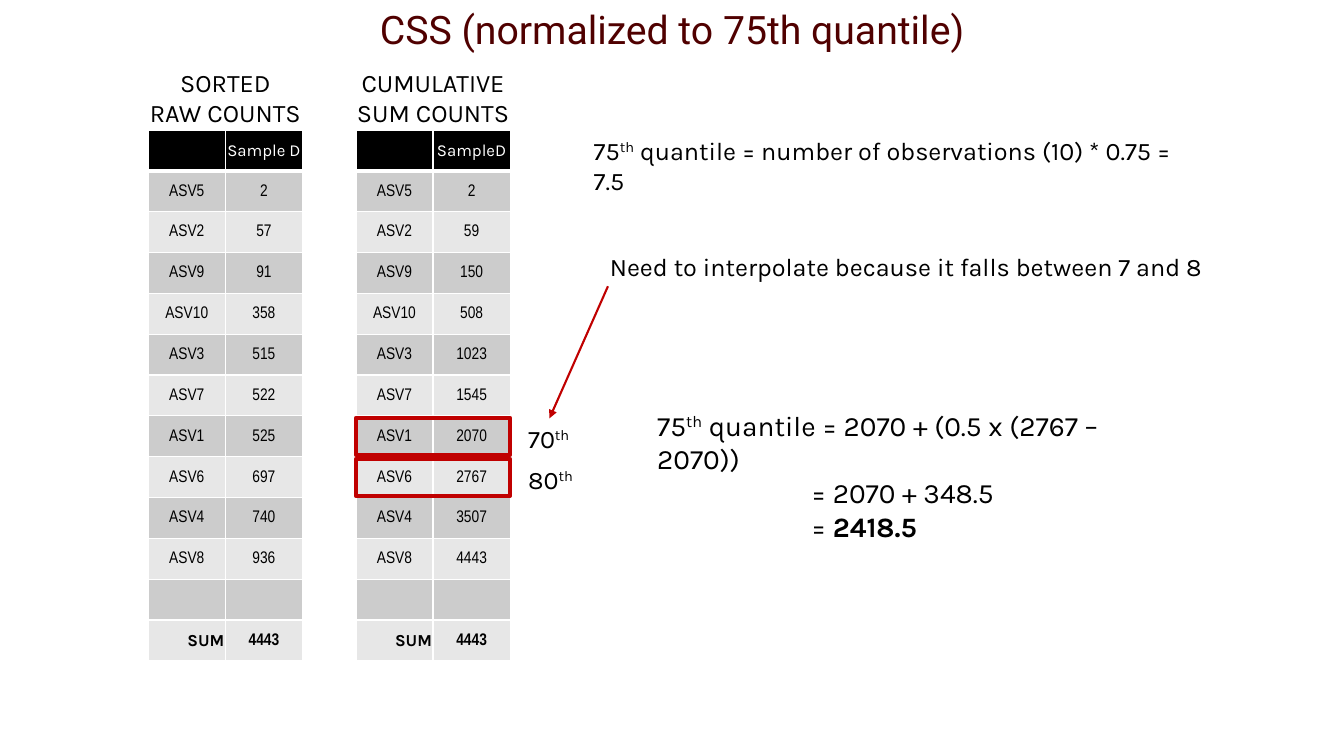
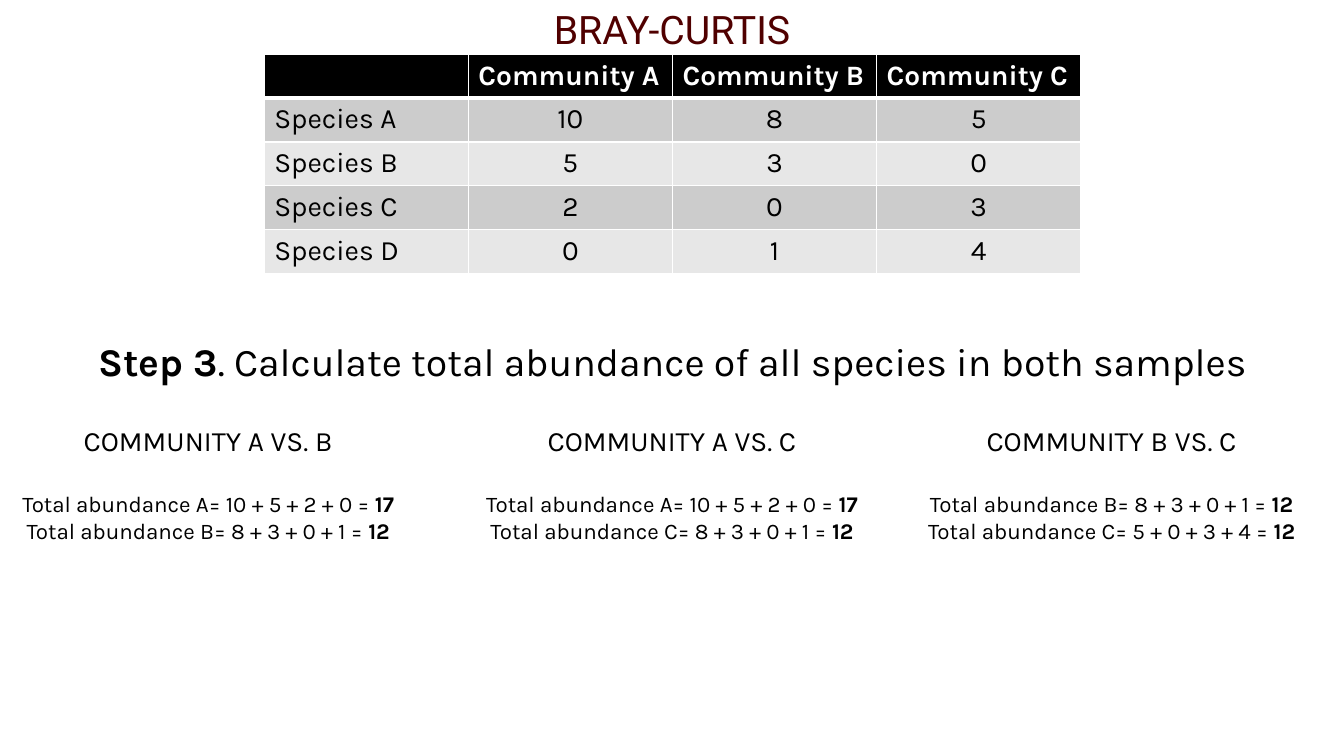
from lxml import etree
from pptx import Presentation, util as u
from pptx.dml.color import RGBColor
from pptx.enum import shapes, text
from pptx.oxml.ns import qn

# Shared look
COLORS = {"title": "500000", "ink": "000000", "paper": "FFFFFF",
          "odd": "CCCCCC", "even": "E7E7E7", "accent": "C00000"}
TITLE_FONT, BODY_FONT, COUNT_FONT = "Roboto", "Karla", "Arial Narrow"
SLIDE_W, SLIDE_H = 13.33, 7.5
LEFT, CENTER, RIGHT = text.PP_ALIGN.LEFT, text.PP_ALIGN.CENTER, text.PP_ALIGN.RIGHT

# Content: a paragraph is a list of runs, each (words, style)
ASVS = ["ASV5", "ASV2", "ASV9", "ASV10", "ASV3", "ASV7", "ASV1", "ASV6", "ASV4", "ASV8"]
COUNT_TABLES = [
    {"left": 1.47, "label": ["SORTED", "RAW COUNTS"], "sample": "Sample D",
     "counts": [2, 57, 91, 358, 515, 522, 525, 697, 740, 936]},
    {"left": 3.53, "label": ["CUMULATIVE", "SUM COUNTS"], "sample": "SampleD",
     "counts": [2, 59, 150, 508, 1023, 1545, 2070, 2767, 3507, 4443]},
]
TOTAL = 4443
QUANTILE_ROWS = {"ASV1": "70", "ASV6": "80"}
QUANTILE = [("75", ""), ("th", "sup")]
OBSERVATIONS = QUANTILE + [(" quantile = number of observations (10) * 0.75 = 7.5", "")]
INTERPOLATE = [("Need to interpolate because it falls between 7 and 8", "")]
FORMULA = QUANTILE + [(" quantile = 2070 + (0.5 x (2767 – 2070))", "")]
FORMULA_STEPS = [[("= 2070 + 348.5", "")], [("= ", ""), ("2418.5", "bold")]]

SPECIES = [
    ["", "Community A", "Community B", "Community C"],
    ["Species A", 10, 8, 5],
    ["Species B", 5, 3, 0],
    ["Species C", 2, 0, 3],
    ["Species D", 0, 1, 4],
]
STEP = [("Step 3", "bold"), (". Calculate total abundance of all species in both samples", "")]
COMPARISONS = [
    (0, "COMMUNITY A VS. B", [("A= 10 + 5 + 2 + 0", 17), ("B= 8 + 3 + 0 + 1", 12)]),
    (4.6, "COMMUNITY A VS. C", [("A= 10 + 5 + 2 + 0", 17), ("C= 8 + 3 + 0 + 1", 12)]),
    (8.96, "COMMUNITY B VS. C", [("B= 8 + 3 + 0 + 1", 12), ("C= 5 + 0 + 3 + 4", 12)]),
]


def rgb(name):
    return RGBColor.from_string(COLORS[name])


def box(left, top, width, height):
    return [u.Inches(side) for side in (left, top, width, height)]


def write(paragraph, runs, size, font=BODY_FONT, color="ink", align=LEFT):
    paragraph.alignment = align
    paragraph.font.size, paragraph.font.name = u.Pt(size), font
    paragraph.font.color.rgb = rgb(color)
    for words, style in runs:
        run = paragraph.add_run()
        run.text = words
        run.font.bold = style == "bold"
        if style == "sup":
            run.font._element.set("baseline", "30000")


def add_text(slide, place, paragraphs, size, align=LEFT):
    frame = slide.shapes.add_textbox(*box(*place)).text_frame
    frame.word_wrap = True
    for i, runs in enumerate(paragraphs):
        write(frame.add_paragraph() if i else frame.paragraphs[0], runs, size, align=align)
    return frame


def add_titled_slide(deck, title):
    slide = deck.slides.add_slide(deck.slide_layouts[5])
    heading = slide.shapes.title
    heading.left, heading.top, heading.width, heading.height = box(0, 0, SLIDE_W, 0.57)
    write(heading.text_frame.paragraphs[0], [(title, "")], 28, TITLE_FONT, "title", CENTER)
    return slide


def add_borders(cell, bottom):
    for side, width in (("L", 1), ("R", 1), ("T", 1), ("B", bottom)):
        line = etree.SubElement(cell._tc.get_or_add_tcPr(), qn(f"a:ln{side}"), w=str(u.Pt(width)))
        fill = etree.SubElement(line, qn("a:solidFill"))
        etree.SubElement(fill, qn("a:srgbClr"), val=COLORS["paper"])


def add_grid(slide, place, rows, style_cell):
    """Banded table; style_cell(r, c) gives the write() options of a cell."""
    table = slide.shapes.add_table(len(rows), len(rows[0]), *box(*place)).table
    for row in table.rows:
        row.height = u.Inches(place[3] / len(rows))
    for r, values in enumerate(rows):
        for c, value in enumerate(values):
            cell = table.cell(r, c)
            add_borders(cell, 1 if r else 3)
            cell.fill.solid()
            cell.fill.fore_color.rgb = rgb("ink" if r == 0 else "odd" if r % 2 else "even")
            options = style_cell(r, c)
            weight = options.pop("weight", "")
            write(cell.text_frame.paragraphs[0], [(str(value), weight)] if value != "" else [],
                  color="paper" if r == 0 else "ink", **options)
    return table


def build_css(deck):
    slide = add_titled_slide(deck, "CSS (normalized to 75th quantile)")
    top, width, height = 1.29, 1.53, 5.27
    last = len(ASVS) + 2
    row_height = height / (last + 1)

    def style_count(r, c):
        if r == last and c == 0:
            return {"size": 12, "align": RIGHT, "weight": "bold"}
        return {"size": 12, "align": CENTER, "font": COUNT_FONT if r else BODY_FONT,
                "weight": "bold" if r == last else ""}

    # Count tables and their labels
    for part in COUNT_TABLES:
        rows = [["", part["sample"]], *zip(ASVS, part["counts"]), ["", ""], ["SUM", TOTAL]]
        table = add_grid(slide, (part["left"], top, width, height), rows, style_count)
        for cell in table.iter_cells():
            cell.vertical_anchor = text.MSO_ANCHOR.MIDDLE
            cell.margin_left = cell.margin_right = cell.margin_top = u.Inches(0.01)
            cell.margin_bottom = 0
        add_text(slide, (part["left"] - 0.2, 0.62, width + 0.4, 0.71),
                 [[(line, "")] for line in part["label"]], 18, CENTER)

    # Rows on either side of the quantile
    left = COUNT_TABLES[-1]["left"]
    for asv, percent in QUANTILE_ROWS.items():
        row_top = top + (ASVS.index(asv) + 1) * row_height + 0.02
        frame = slide.shapes.add_shape(shapes.MSO_SHAPE.RECTANGLE,
                                       *box(left, row_top, width, row_height - 0.04))
        frame.shadow.inherit = False
        frame.fill.background()
        frame.line.color.rgb, frame.line.width = rgb("accent"), u.Pt(3)
        add_text(slide, (5.14, row_top, 1.38, 0.4), [[(percent, ""), ("th", "sup")]], 18)

    # Explanation and formula
    add_text(slide, (5.79, 1.29, 6.12, 0.4), [OBSERVATIONS], 18)
    add_text(slide, (5.95, 2.44, 6.67, 0.4), [INTERPOLATE], 18)
    formula = add_text(slide, (6.42, 4, 5.23, 1.11), [FORMULA, *FORMULA_STEPS], 20)
    for step in formula.paragraphs[1:]:
        step._p.get_or_add_pPr().set("marL", str(u.Inches(1.53)))

    arrow = slide.shapes.add_connector(shapes.MSO_CONNECTOR.STRAIGHT,
                                       *box(6.03, 2.84, 5.45, 4.15))
    arrow.line.color.rgb, arrow.line.width = rgb("accent"), u.Pt(1.5)
    etree.SubElement(arrow.line._get_or_add_ln(), qn("a:tailEnd"), type="triangle")
    etree.SubElement(arrow._element.spPr, qn("a:effectLst"))


def build_bray_curtis(deck):
    slide = add_titled_slide(deck, "BRAY-CURTIS")

    def style_species(r, c):
        return {"size": 20, "align": CENTER if r and c else LEFT, "weight": "" if r else "bold"}

    add_grid(slide, (2.62, 0.54, 8.1, 2.17), SPECIES, style_species)
    add_text(slide, (0.25, 3.3, 12.84, 0.57), [STEP], 28, CENTER)

    # Pairwise comparisons
    for left, pair, sums in COMPARISONS:
        frame = add_text(slide, (left, 4.15, 4.13, 1.58), [[(pair, "")]], 20, CENTER)
        for i, (terms, total) in enumerate(sums):
            line = frame.add_paragraph()
            write(line, [(f"Total abundance {terms} = ", ""), (str(total), "bold")], 16, align=CENTER)
            line.space_before = u.Pt(0 if i else 24)


def main():
    deck = Presentation()
    deck.slide_width, deck.slide_height = u.Inches(SLIDE_W), u.Inches(SLIDE_H)
    build_css(deck)
    build_bray_curtis(deck)
    deck.save("out.pptx")


if __name__ == "__main__":
    main()
